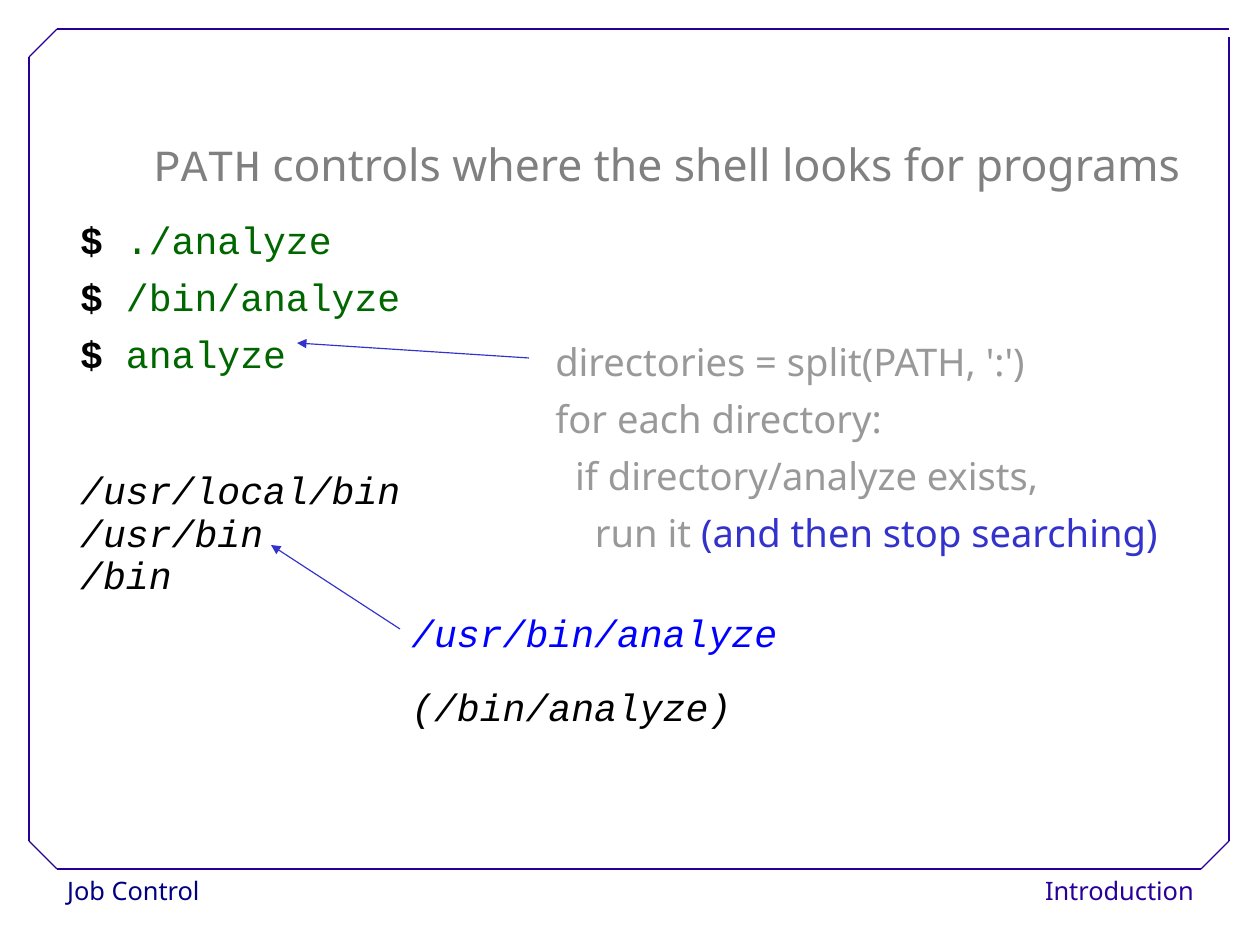
from lxml import etree
from pptx import Presentation
from pptx.dml.color import RGBColor
from pptx.enum.shapes import MSO_CONNECTOR
from pptx.enum.text import PP_ALIGN
from pptx.oxml.ns import qn
from pptx.util import Pt

STRAIGHT = MSO_CONNECTOR.STRAIGHT
LEFT, RIGHT = PP_ALIGN.LEFT, PP_ALIGN.RIGHT
EMU_PER_PX = 8000
MONO, SANS = "Courier New", "Noto Sans"
COLORS = {
    "paper": "FFFFFF", "frame": "280099", "lesson": "000080",
    "title": "808080", "prompt": "000000", "command": "006600",
    "pseudocode": "999999", "accent": "3333CC", "found": "0000FF",
}


def px(length):
    return length * EMU_PER_PX


def color(name):
    return RGBColor.from_string(COLORS[name])


def add_line(slide, start, end, color_name, arrow=False):
    line = slide.shapes.add_connector(STRAIGHT, *map(px, start + end))
    line.line.color.rgb = color(color_name)
    line.line.width = Pt(0.75)
    properties = line._element.spPr
    if arrow:
        etree.SubElement(properties.find(qn("a:ln")), qn("a:tailEnd"), type="triangle")
    etree.SubElement(properties, qn("a:effectLst"))


def add_text(slide, box, paragraphs, spacing, size=24, align=LEFT, gap=0):
    """Each paragraph is a list of (text, color name, font formats)."""
    textbox = slide.shapes.add_textbox(*map(px, box))
    frame = textbox.text_frame
    frame.word_wrap = True
    for index, runs in enumerate(paragraphs):
        paragraph = frame.paragraphs[0] if index == 0 else frame.add_paragraph()
        paragraph.alignment = align
        paragraph.line_spacing = spacing
        paragraph.space_before = Pt(gap if index else 0)
        for text, color_name, formats in runs:
            run = paragraph.add_run()
            run.text = text
            run.font.size = Pt(size)
            run.font.color.rgb = color(color_name)
            for attribute, value in formats.items():
                setattr(run.font, attribute, value)
    return textbox


def add_frame(slide, box, corner=28):
    """Border with three cut corners and an open top right corner."""
    left, top, width, height = box
    right, bottom = left + width, top + height
    edges = [
        ((left + corner, bottom), (right - corner, bottom)),
        ((left, bottom - corner), (left, top + corner)),
        ((left + corner, top), (right, top)),
        ((right, bottom - corner), (right, top + 8)),
        ((left, top + corner), (left + corner, top)),
        ((right - corner, bottom), (right, bottom - corner)),
        ((left, bottom - corner), (left + corner, bottom)),
    ]
    for start, end in edges:
        add_line(slide, start, end, "frame")


def add_footer(slide, box):
    left, top, width, height = box
    label_width = 246
    labels = [
        (left, "Job Control", "lesson", LEFT),
        (left + width - label_width, "Introduction", "frame", RIGHT),
    ]
    for label_left, text, color_name, align in labels:
        label = add_text(slide, (label_left, top, label_width, height),
                         [[(text, color_name, {"name": SANS})]], 1.02, 16, align)
        label.fill.solid()
        label.fill.fore_color.rgb = color("paper")


def add_title(slide, box):
    add_text(slide, box, [[
        ("PATH", "title", {"name": MONO}),
        (" controls where the shell looks for programs", "title", {"name": SANS}),
    ]], 1.5, 28)


def add_commands(slide, box):
    commands = ["./analyze", "/bin/analyze", "analyze"]
    add_text(slide, box, [
        [("$ ", "prompt", {"name": MONO, "bold": True}),
         (command, "command", {"name": MONO})]
        for command in commands
    ], 1.25)


def add_search_steps(slide, box):
    left, top, _, _ = box
    steps = ["directories = split(PATH, ':')", "for each directory:",
             "  if directory/analyze exists,", "    run it "]
    paragraphs = [[(step, "pseudocode", {"name": SANS})] for step in steps]
    paragraphs[-1].append(("(and then stop searching)", "accent", {"name": SANS}))
    add_text(slide, box, paragraphs, 1.25)
    add_line(slide, (left - 15, top + 37), (left - 247, top + 22), "accent", arrow=True)


def add_directories(slide, box):
    directories = ["/usr/local/bin", "/usr/bin", "/bin"]
    add_text(slide, box, [
        [(directory, "prompt", {"name": MONO, "italic": True})]
        for directory in directories
    ], 0.93)


def add_matches(slide, box):
    left, top, _, _ = box
    matches = [("/usr/bin/analyze", "found"), ("(/bin/analyze)", "prompt")]
    add_line(slide, (left, top + 21), (left - 129, top - 63), "accent", arrow=True)
    add_text(slide, box, [
        [(match, color_name, {"name": MONO, "italic": True})]
        for match, color_name in matches
    ], 0.93, gap=20)


def main():
    presentation = Presentation()
    presentation.slide_width, presentation.slide_height = px(1260), px(945)
    slide = presentation.slides.add_slide(presentation.slide_layouts[6])
    add_footer(slide, (56, 869, 1149, 46))
    add_frame(slide, (29, 29, 1200, 840))
    add_title(slide, (143, 105, 1097, 91))
    add_commands(slide, (69, 199, 457, 189))
    add_search_steps(slide, (544, 321, 652, 246))
    add_directories(slide, (69, 465, 343, 182))
    add_matches(slide, (400, 608, 411, 171))
    presentation.save("out.pptx")


if __name__ == "__main__":
    main()
